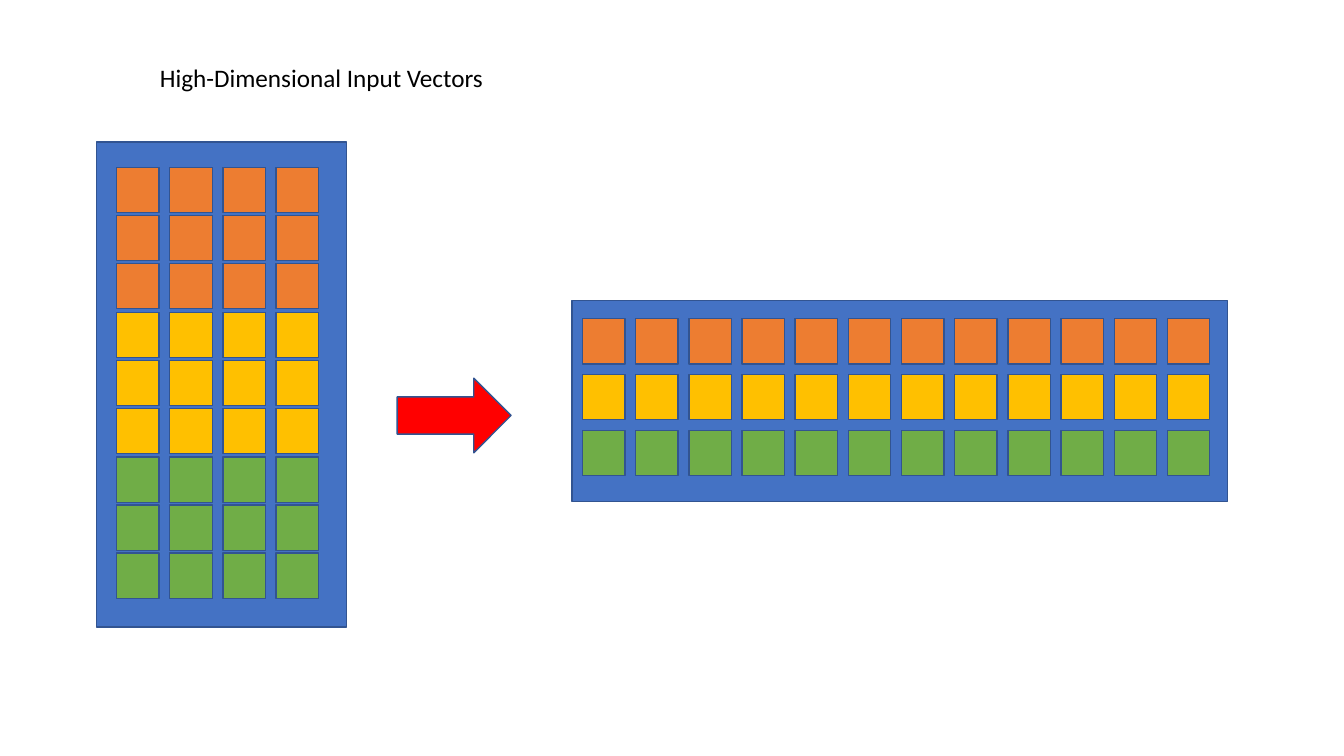
"""Build the slide that regroups high-dimensional input vectors."""
import pptx
import pptx.dml.color
import pptx.enum.shapes
import pptx.enum.text
import pptx.util

Cm = pptx.util.Cm
Pt = pptx.util.Pt
RGBColor = pptx.dml.color.RGBColor
MSO_SHAPE = pptx.enum.shapes.MSO_SHAPE

BLUE = RGBColor(0x44, 0x72, 0xC4)
OUTLINE = RGBColor(0x32, 0x54, 0x91)
ORANGE = RGBColor(0xED, 0x7D, 0x31)
YELLOW = RGBColor(0xFF, 0xC0, 0x00)
GREEN = RGBColor(0x70, 0xAD, 0x47)
RED = RGBColor(0xFF, 0x00, 0x00)
BLACK = RGBColor(0x00, 0x00, 0x00)

VECTOR_COLORS = (ORANGE, YELLOW, GREEN)
CELL_W, CELL_H = 1.07, 1.14
COLUMN_PITCH = 1.34


def add_text(tf, text, font="Calibri", size=18, color=BLACK):
    p = tf.paragraphs[0]
    r = p.add_run()
    r.text = text
    r.font.name = font
    r.font.size = Pt(size)
    r.font.color.rgb = color


class Diagram:
    def __init__(self, s, outline=OUTLINE, line_width=1):
        self.s = s
        self.outline = outline
        self.line_width = line_width

    def shape(self, kind, x, y, w, h, fill, rotation=0):
        sp = self.s.shapes.add_shape(kind, Cm(x), Cm(y), Cm(w), Cm(h))
        sp.rotation = rotation
        sp.shadow.inherit = False
        sp.fill.solid()
        sp.fill.fore_color.rgb = fill
        sp.line.color.rgb = self.outline
        sp.line.width = Pt(self.line_width)

    def panel(self, x, y, w, h, rotation=0):
        self.shape(MSO_SHAPE.RECTANGLE, x, y, w, h, BLUE, rotation)

    def arrow(self, x, y, w, h, fill):
        self.shape(MSO_SHAPE.RIGHT_ARROW, x, y, w, h, fill)

    def cells(self, x, y, rows, columns, row_pitch, fill):
        for row in range(rows):
            for column in range(columns):
                self.shape(MSO_SHAPE.RECTANGLE, x + column * COLUMN_PITCH,
                           y + row * row_pitch, CELL_W, CELL_H, fill)

    def label(self, x, y, w, h, text, **style):
        tf = self.s.shapes.add_textbox(Cm(x), Cm(y), Cm(w), Cm(h)).text_frame
        tf.word_wrap = False
        tf.auto_size = pptx.enum.text.MSO_AUTO_SIZE.SHAPE_TO_FIT_TEXT
        add_text(tf, text, **style)


def main():
    prs = pptx.Presentation()
    prs.slide_width, prs.slide_height = Cm(33.87), Cm(19.05)
    diagram = Diagram(prs.slides.add_slide(prs.slide_layouts[6]))

    diagram.panel(2.44, 3.58, 6.3, 12.22)
    for i, color in enumerate(VECTOR_COLORS):
        diagram.cells(2.94, 4.22 + i * 3.65, 3, 4, 1.21, color)

    diagram.panel(20.14, 1.85, 5.07, 16.51, rotation=270)
    for i, color in enumerate(VECTOR_COLORS):
        diagram.cells(14.68, 8.03 + i * 1.41, 1, 12, 0, color)

    diagram.arrow(10.01, 9.53, 2.87, 1.88, RED)
    diagram.label(3.78, 1.45, 8.76, 1.02, "High-Dimensional Input Vectors")
    prs.save("out.pptx")


if __name__ == "__main__":
    main()
